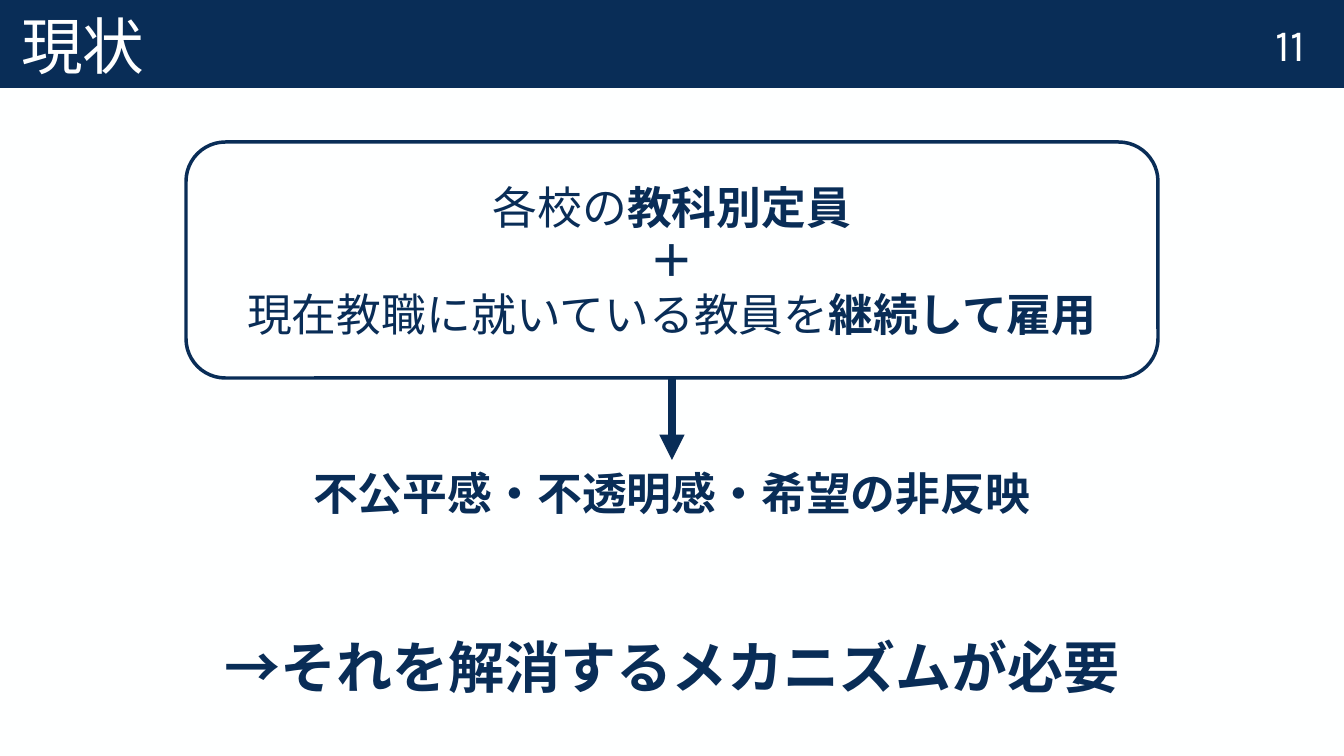
import lxml.etree
import pptx
import pptx.dml.color
import pptx.enum.lang
import pptx.enum.shapes
import pptx.enum.text
import pptx.oxml.ns
import pptx.util

WIDTH, HEIGHT = 1344, 756
SCALE = 12192000 / WIDTH
NAVY, WHITE = "092D57", "FEFFFF"
FONT = "Karla"
ALIGN = pptx.enum.text.PP_ALIGN
ANCHOR = pptx.enum.text.MSO_ANCHOR
SHAPE = pptx.enum.shapes.MSO_SHAPE


def px(size):
    return pptx.util.Emu(round(size * SCALE))


def paint(part, color):
    part.solid()
    part.fore_color.rgb = pptx.dml.color.RGBColor.from_string(color)


def add(parent, tag, **attrs):
    return lxml.etree.SubElement(parent, pptx.oxml.ns.qn(tag), **attrs)


def write(shape, lines, size=32, color=NAVY, align=ALIGN.CENTER,
          anchor=ANCHOR.MIDDLE, space=None, indent=0):
    frame = shape.text_frame
    frame.word_wrap = True
    frame.auto_size = pptx.enum.text.MSO_AUTO_SIZE.NONE
    frame.vertical_anchor = anchor
    for index, line in enumerate(lines):
        para = frame.add_paragraph() if index else frame.paragraphs[0]
        para.alignment = align
        para.line_spacing = space
        if indent:
            props = para._p.get_or_add_pPr()
            props.set("marL", "0")
            props.set("indent", str(px(indent)))
        for text, bold in line:
            run = para.add_run()
            run.text = text
            font = run.font
            font.size = pptx.util.Pt(size)
            font.bold = bold
            font.name = FONT
            font.language_id = pptx.enum.lang.MSO_LANGUAGE_ID.JAPANESE
            paint(font.fill, color)
            add(run._r.get_or_add_rPr(), "a:ea", typeface=FONT)


def label(slide, box, text, bold=True, **style):
    area = slide.shapes.add_textbox(*map(px, box))
    write(area, [[(text, bold)]], **style)


def header(slide, box, text, number):
    left, top, width, height = box
    title = slide.shapes.title
    title.left, title.top, title.width, title.height = map(px, box)
    paint(title.fill, NAVY)
    write(title, [[(text, False)]], size=44, color=WHITE, align=ALIGN.LEFT,
          anchor=ANCHOR.BOTTOM, space=0.9, indent=11)
    label(slide, (left + width - 106, top, 105, height - 1), number,
          bold=False, color=WHITE)


def arrow(slide, x, top, end):
    line = slide.shapes.add_connector(
        pptx.enum.shapes.MSO_CONNECTOR.STRAIGHT, px(x), px(top), px(x), px(end))
    paint(line.line.fill, NAVY)
    line.line.width = pptx.util.Pt(6)
    add(line.line._get_or_add_ln(), "a:tailEnd", type="triangle")
    add(line._element.spPr, "a:effectLst")


def causes(slide, box, lines, result):
    left, top, width, height = box
    frame = slide.shapes.add_shape(SHAPE.ROUNDED_RECTANGLE, *map(px, box))
    frame.shadow.inherit = False
    frame.fill.background()
    paint(frame.line.fill, NAVY)
    frame.line.width = pptx.util.Pt(2.5)
    write(frame, lines)
    base = top + height
    label(slide, (0, base + 82, WIDTH, 65), result)
    arrow(slide, left + width // 2, base, base + 82)


def main():
    deck = pptx.Presentation()
    deck.slide_width, deck.slide_height = px(WIDTH), px(HEIGHT)
    slide = deck.slides.add_slide(deck.slide_layouts[5])
    paint(slide.background.fill, WHITE)
    header(slide, (0, 0, WIDTH, 88), "現状", "11")
    causes(slide, (186, 142, 972, 236), [
        [("各校の", False), ("教科別定員", True)],
        [("＋", True)],
        [("現在教職に就いている教員を", False), ("継続して雇用", True)],
    ], "不公平感・不透明感・希望の非反映")
    label(slide, (0, 627, WIDTH, 78), "→それを解消するメカニズムが必要", size=40)
    deck.save("out.pptx")


if __name__ == "__main__":
    main()
